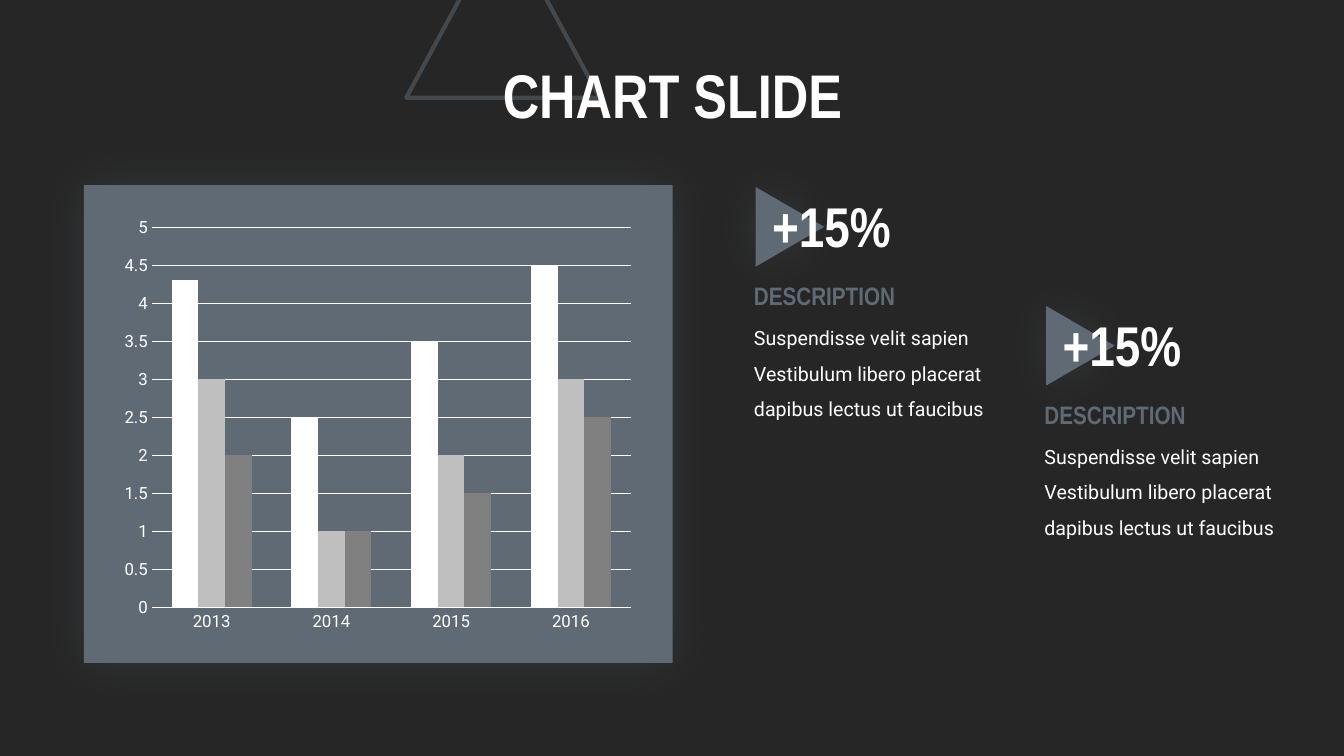
from lxml import etree
from pptx import Presentation
from pptx import util as u
from pptx.chart import data
from pptx.dml.color import RGBColor
from pptx.enum import chart as charts, shapes, text
from pptx.oxml import ns

DARK, SLATE, WHITE = "262626", "606A74", "FFFFFF"
HEADING_FONT, BODY_FONT = "Arial Narrow", "Roboto"
BODY = "Suspendisse velit sapien Vestibulum libero placerat dapibus lectus ut faucibus"

color = RGBColor.from_string

presentation = Presentation()
presentation.slide_width, presentation.slide_height = u.Inches(13.33), u.Inches(7.5)
COLUMN, ROW = presentation.slide_width / 100, presentation.slide_height / 100
slide = presentation.slides.add_slide(presentation.slide_layouts[6])
slide.background.fill.solid()
slide.background.fill.fore_color.rgb = color(DARK)


def add_glowing(kind, left, top, width, height):
    """Add a slate shape with a soft halo; lengths in columns and rows."""
    shape = slide.shapes.add_shape(
        kind, int(left * COLUMN), int(top * ROW), int(width * COLUMN), int(height * ROW))
    shape.fill.solid()
    shape.fill.fore_color.rgb = color(SLATE)
    shape.line.fill.background()
    shape.shadow.inherit = False
    effects = shape._element.spPr.find(ns.qn("a:effectLst"))
    halo = etree.SubElement(effects, ns.qn("a:outerShdw"), blurRad=str(u.Pt(35)),
                            dist="0", dir="0", algn="ctr", rotWithShape="0")
    tint = etree.SubElement(halo, ns.qn("a:srgbClr"), val=SLATE)
    etree.SubElement(tint, ns.qn("a:alpha"), val="25000")
    return shape


def add_text(words, left, top, width, height, size, tone=WHITE, name=HEADING_FONT, bold=True):
    """Add a wrapped one-paragraph text box; lengths in columns and rows."""
    box = slide.shapes.add_textbox(
        int(left * COLUMN), int(top * ROW), int(width * COLUMN), int(height * ROW))
    box.text_frame.word_wrap = True
    paragraph = box.text_frame.paragraphs[0]
    paragraph.text = words
    font = paragraph.font
    font.name, font.size, font.bold = name, u.Pt(size), bold
    font.color.rgb = color(tone)
    return box.text_frame


# Title with the outlined triangle behind it
outline = add_glowing(shapes.MSO_SHAPE.ISOSCELES_TRIANGLE, 30.23, -10.67, 14.4, 23.6)
outline.fill.background()
outline.line.width = u.Pt(3)
outline.line.color.rgb = color(SLATE)
line_tint = outline.line._ln.find(".//" + ns.qn("a:srgbClr"))
etree.SubElement(line_tint, ns.qn("a:alpha"), val="50000")

title = add_text("CHART SLIDE", 24.53, 6.53, 51.05, 13.07, 44)
title.vertical_anchor = text.MSO_ANCHOR.MIDDLE
title.paragraphs[0].alignment = text.PP_ALIGN.CENTER
title.paragraphs[0].line_spacing = 0.9

# Chart on its card
add_glowing(shapes.MSO_SHAPE.RECTANGLE, 6.25, 24.5, 43.8, 63.2)
chart_data = data.CategoryChartData()
chart_data.categories = ["2013", "2014", "2015", "2016"]
chart_data.add_series("Series 1", (4.3, 2.5, 3.5, 4.5))
chart_data.add_series("Series 2", (3, 1, 2, 3))
chart_data.add_series("Series 3", (2, 1, 1.5, 2.5))
chart = slide.shapes.add_chart(
    charts.XL_CHART_TYPE.COLUMN_CLUSTERED, int(8.48 * COLUMN), int(27.6 * ROW),
    int(39.24 * COLUMN), int(57.07 * ROW), chart_data).chart
chart.has_legend = False
chart.has_title = False
chart.font.name, chart.font.size = BODY_FONT, u.Pt(10)
chart.font.color.rgb = color(WHITE)

plot = chart.plots[0]
plot.gap_width, plot.overlap, plot.vary_by_categories = 150, 0, False
for series, tone in zip(plot.series, (WHITE, "BFBFBF", "808080")):
    series.format.fill.solid()
    series.format.fill.fore_color.rgb = color(tone)

for axis in (chart.category_axis, chart.value_axis):
    axis.major_tick_mark = axis.minor_tick_mark = charts.XL_TICK_MARK.NONE
    axis.format.line.fill.background()
    font = axis.tick_labels.font
    font.name, font.size = BODY_FONT, u.Pt(12)
    font.color.rgb = color(WHITE)
values = chart.value_axis
values.minimum_scale, values.maximum_scale, values.major_unit = 0, 5, 0.5
values.has_major_gridlines = True
values.major_gridlines.format.line.width = u.Pt(0.75)
values.major_gridlines.format.line.color.rgb = color(WHITE)

# Two stepped callouts
for left, top in ((55.36, 24.67), (76.97, 40.4)):
    pointer = add_glowing(shapes.MSO_SHAPE.ISOSCELES_TRIANGLE, left + 0.45, top + 0.8, 5.93, 9.07)
    pointer.rotation = 90
    add_text(BODY, left, top + 16.27, 21.08, 14.93, 14,
             name=BODY_FONT, bold=False).paragraphs[0].line_spacing = 1.5
    add_text("DESCRIPTION", left, top + 11.73, 18.38, 5.33, 18, SLATE)
    add_text("+15%", left + 1.35, top, 13.43, 10.27, 40)

presentation.save("out.pptx")
